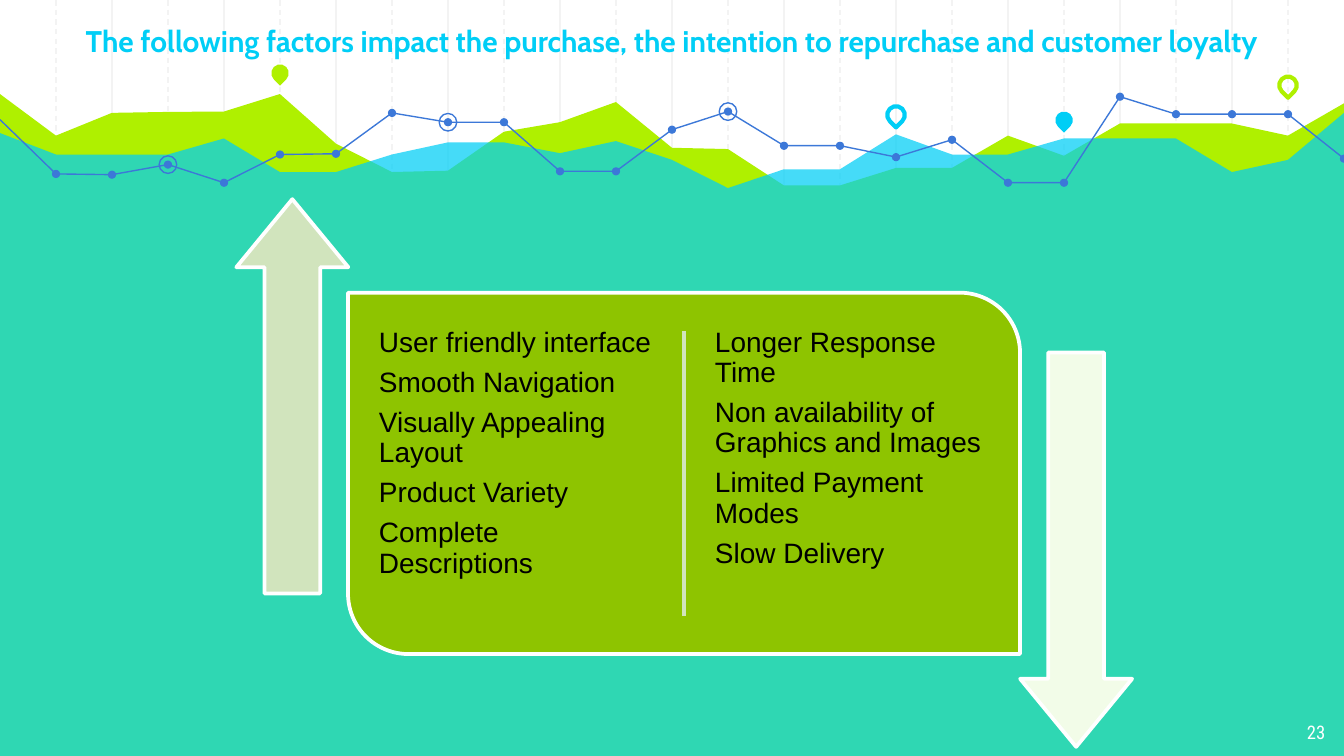
from lxml.etree import SubElement
from pptx import Presentation
from pptx.dml.color import RGBColor
from pptx.enum.dml import MSO_LINE
from pptx.enum.shapes import MSO_CONNECTOR, MSO_SHAPE
from pptx.enum.text import PP_ALIGN
from pptx.oxml.ns import qn
from pptx.util import Pt

COLOURS = {
    "grid": "F3F3F3",
    "lime": "AFF000",
    "cyan": "00CEF6",
    "blue": "3C78D8",
    "panel": "8EC400",
    "sage": "D1E4BD",
    "mint": "F2FCE8",
    "white": "FFFFFF",
    "black": "000000",
}

WIDTH, HEIGHT = 720, 405
GRID_STEPS = 24

LIME_HEIGHTS = [50.4, 72.7, 60.5, 60, 59.8, 50.4, 77, 92.2, 91.5, 70.6, 65.5, 54.7, 79.2,
                79.9, 99.4, 99.4, 90, 90, 72.7, 83.5, 66.2, 66.2, 66.2, 72.7, 55.4]
CYAN_HEIGHTS = [71.3, 82.8, 82.8, 82.8, 74.2, 92.2, 92.2, 82.8, 76.3, 76.3, 82.1, 75.6, 85.7,
                100.8, 90.7, 90.7, 72, 82.8, 82.8, 74.2, 74.2, 74.2, 92.2, 85.7, 60.5]
LINE_HEIGHTS = [64.1, 93.2, 93.6, 88.2, 97.9, 82.8, 82.4, 60.5, 65.5, 65.5, 91.8, 91.8, 69.5,
                59.8, 78.1, 78.1, 84.2, 74.9, 97.9, 97.9, 51.8, 61.2, 61.2, 61.2, 85]
LINE_PIECES = [(0, 11), (11, 20), (20, 24)]
RINGED_STEPS = [3, 8, 13]
PINS = [(5, 39.2, "lime", True), (16, 61.6, "cyan", False),
        (19, 64.4, "cyan", True), (23, 45.7, "lime", False)]

TITLE = "The following factors impact the purchase, the intention to repurchase and customer loyalty"
POSITIVE_FACTORS = ["User friendly interface", "Smooth Navigation", "Visually Appealing Layout",
                    "Product Variety", "Complete Descriptions"]
NEGATIVE_FACTORS = ["Longer Response Time", "Non availability of Graphics and Images",
                    "Limited Payment Modes", "Slow Delivery"]


def colour(name):
    return RGBColor.from_string(COLOURS[name])


def style_shape(shape, fill=None, line=None, line_width=0.75):
    shape.shadow.inherit = False
    if fill:
        shape.fill.solid()
        shape.fill.fore_color.rgb = colour(fill)
    else:
        shape.fill.background()
    if line:
        shape.line.color.rgb = colour(line)
        shape.line.width = Pt(line_width)
    else:
        shape.line.fill.background()


def add_preset(slide, preset, box, **style):
    shape = slide.shapes.add_shape(preset, *map(Pt, box))
    style_shape(shape, **style)
    return shape


def add_centred(slide, preset, x, y, size, **style):
    return add_preset(slide, preset, (x - size / 2, y - size / 2, size, size), **style)


def add_outline(slide, points, close, **style):
    points = [(Pt(x), Pt(y)) for x, y in points]
    builder = slide.shapes.build_freeform(*points[0], scale=1.0)
    builder.add_line_segments(points[1:], close=close)
    shape = builder.convert_to_shape()
    style_shape(shape, **style)
    return shape


def add_vertical_line(slide, x, top, bottom, line, line_width, dashed=False):
    connector = slide.shapes.add_connector(
        MSO_CONNECTOR.STRAIGHT, Pt(x), Pt(top), Pt(x), Pt(bottom))
    connector.line.color.rgb = colour(line)
    connector.line.width = Pt(line_width)
    if dashed:
        connector.line.dash_style = MSO_LINE.DASH
    SubElement(connector._element.spPr, qn("a:effectLst"))


def add_text(slide, box, texts, font, size, text_colour, inset=7.2, bold=False,
             alignment=PP_ALIGN.LEFT, line_spacing=None, space_after=None):
    frame = slide.shapes.add_textbox(*map(Pt, box)).text_frame
    frame.word_wrap = True
    frame.margin_left = frame.margin_right = Pt(inset)
    frame.margin_top = frame.margin_bottom = Pt(inset)
    for index, text in enumerate(texts):
        paragraph = frame.add_paragraph() if index else frame.paragraphs[0]
        paragraph.alignment = alignment
        if line_spacing:
            paragraph.line_spacing = line_spacing
        if space_after:
            paragraph.space_after = Pt(space_after)
        run = paragraph.add_run()
        run.text = text
        run.font.name = font
        run.font.size = Pt(size)
        run.font.bold = bold
        run.font.color.rgb = colour(text_colour)


def add_grid(slide, box):
    left, top, width, height = box
    steps = list(range(1, GRID_STEPS))
    for step in steps[1::2] + steps[::2]:
        add_vertical_line(slide, left + step * width / GRID_STEPS, top, top + height,
                          "grid", 0.75, dashed=step % 2 == 1)


def add_landscape(slide, box):
    left, top, width, height = box
    step_width = width / GRID_STEPS

    def place(heights):
        return [(left + step * step_width, top + y) for step, y in enumerate(heights)]

    base = [(left + width, top + height), (left, top + height)]
    add_outline(slide, place(LIME_HEIGHTS) + base, True, fill="lime")
    water = add_outline(slide, place(CYAN_HEIGHTS) + base, True, fill="cyan")
    water_colour = water._element.spPr.find(qn("a:solidFill")).find(qn("a:srgbClr"))
    SubElement(water_colour, qn("a:alpha")).set("val", "73000")

    line_points = place(LINE_HEIGHTS)
    for first, last in LINE_PIECES:
        add_outline(slide, line_points[first:last + 1], False, line="blue")
    for x, y in line_points[1:]:
        add_centred(slide, MSO_SHAPE.OVAL, x, y, 4.4, fill="blue")
    for step in RINGED_STEPS:
        add_centred(slide, MSO_SHAPE.OVAL, *line_points[step], 9.4, line="blue")
    for step, y, pin_colour, solid in PINS:
        style = {"fill": pin_colour} if solid else {"line": pin_colour, "line_width": 2.25}
        pin = add_centred(slide, MSO_SHAPE.TEAR, left + step * step_width, top + y, 9.4, **style)
        pin.rotation = 135


def add_factor_panel(slide, box):
    left, top, width, height = box
    panel = add_preset(slide, MSO_SHAPE.ROUND_2_DIAG_RECTANGLE, box,
                       fill="panel", line="white", line_width=2)
    panel.adjustments[0] = 0
    panel.adjustments[1] = 0.167
    middle = left + width / 2
    add_vertical_line(slide, middle, top + 20.5, top + height - 20.5, "sage", 2)
    for column_left, factors in ((left + 12, POSITIVE_FACTORS), (middle + 12, NEGATIVE_FACTORS)):
        add_text(slide, (column_left, top + 14.5, 156.5, height - 29), factors, "Arial", 15,
                 "black", inset=4.5, line_spacing=0.9, space_after=5.25)


def add_block_arrow(slide, box, rotation, fill):
    left, top, width, height = box
    shape_box = (left + (width - height) / 2, top + (height - width) / 2, height, width)
    arrow = add_preset(slide, MSO_SHAPE.RIGHT_ARROW, shape_box,
                       fill=fill, line="white", line_width=2)
    arrow.rotation = rotation
    arrow.adjustments[0] = 0.498
    arrow.adjustments[1] = 0.607


def main():
    presentation = Presentation()
    presentation.slide_width = Pt(WIDTH)
    presentation.slide_height = Pt(HEIGHT)
    slide = presentation.slides.add_slide(presentation.slide_layouts[6])
    add_grid(slide, (0, 0, WIDTH, HEIGHT))
    add_landscape(slide, (0, 0, WIDTH, HEIGHT))
    add_text(slide, (674, 380.2, 43, 24.8), ["23"], "Roboto Condensed", 10, "white",
             alignment=PP_ALIGN.RIGHT)
    add_factor_panel(slide, (186.5, 156.8, 360, 193.6))
    add_block_arrow(slide, (126.6, 106.7, 60, 211.2), 270, "sage")
    add_block_arrow(slide, (546.5, 188.9, 60, 211.2), 90, "mint")
    add_text(slide, (0, 5, WIDTH, 201), [TITLE], "Cabin", 16, "cyan", bold=True,
             alignment=PP_ALIGN.CENTER)
    presentation.save("out.pptx")


if __name__ == "__main__":
    main()
